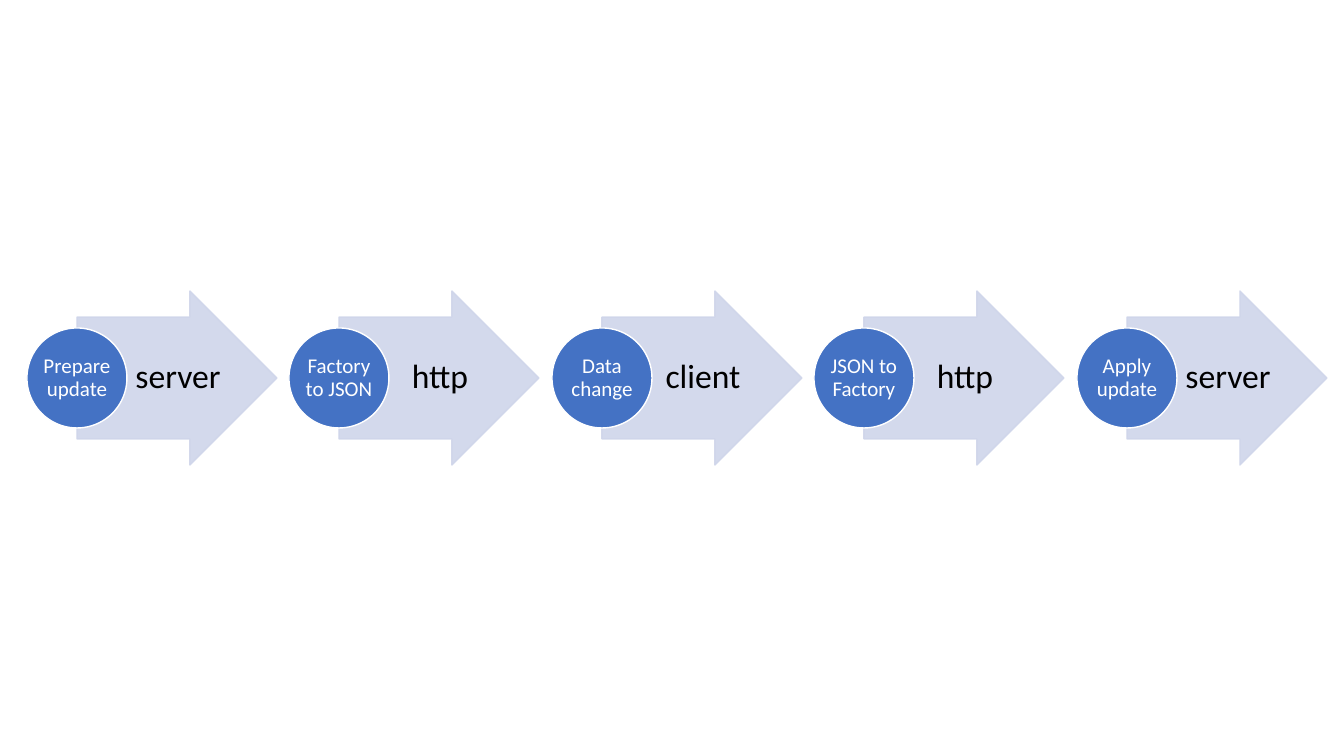
from pptx import Presentation
from pptx.dml.color import RGBColor
from pptx.enum.shapes import MSO_SHAPE as Preset
from pptx.enum.text import MSO_ANCHOR as Anchor, PP_ALIGN as Align
from pptx.oxml.ns import qn
from pptx.util import Pt
from lxml.etree import SubElement

SCALE = 914400 / 100.8
COLORS = {"arrow": "CFD5EA", "circle": "4472C4", "outline": "FFFFFF",
          "place": "000000", "step": "FFFFFF"}
STAGES = [("Prepare update", "server"), ("Factory to JSON", "http"),
          ("Data change", "client"), ("JSON to Factory", "http"),
          ("Apply update", "server")]
PLACE = {"size": 24, "color": "place", "insets": (7, 2, 3, 2)}
STEP = {"size": 15, "color": "step", "insets": (1, 1, 1, 1)}
SIDES = ("left", "top", "right", "bottom")


def emu(pixels):
    return round(pixels * SCALE)


def assign(target, values):
    for name, value in values.items():
        setattr(target, name, value)


def rgb(name):
    return RGBColor.from_string(COLORS[name])


def add_figure(group, preset, box, fill, outline, alpha=100):
    figure = group.shapes.add_shape(preset, *map(emu, box))
    figure.shadow.inherit = False
    figure.line.width = Pt(1)
    for paint, color in ((figure.fill, fill), (figure.line.fill, outline)):
        paint.solid()
        paint.fore_color.rgb = rgb(color)
    if alpha < 100:
        for color in figure.element.spPr.iter(qn("a:srgbClr")):
            SubElement(color, qn("a:alpha"), val=str(alpha * 1000))
    return figure


def add_label(group, box, text, style):
    frame = group.shapes.add_textbox(*map(emu, box)).text_frame
    assign(frame, {"word_wrap": True, "vertical_anchor": Anchor.MIDDLE})
    assign(frame, {f"margin_{side}": emu(inset)
                   for side, inset in zip(SIDES, style["insets"])})
    para = frame.paragraphs[0]
    assign(para, {"alignment": Align.CENTER, "line_spacing": 0.9})
    span = para.add_run()
    span.text = text
    assign(span.font, {"name": "Calibri", "size": Pt(style["size"])})
    span.font.color.rgb = rgb(style["color"])


def add_stage(group, box, step, place):
    left, top, width, height = box
    diameter = 100
    middle = top + height // 2
    start = left + diameter // 2
    arrow = add_figure(group, Preset.RIGHT_ARROW,
                       (start, top, width - diameter // 2, height),
                       "arrow", "arrow", alpha=90)
    arrow.adjustments[0] = 0.7
    arrow.adjustments[1] = 0.5
    add_label(group, (left + diameter, middle - 61, 98, 122), place, PLACE)
    add_figure(group, Preset.OVAL,
               (left, middle - diameter // 2, diameter, diameter),
               "circle", "outline")
    add_label(group, (start - 35, middle - 35, 70, 70), step, STEP)


def add_process(page, box):
    left, top, width, height = box
    stage_width = 250
    travel = width - stage_width
    group = page.shapes.add_group_shape()
    for index, (step, place) in enumerate(STAGES):
        offset = travel * index // (len(STAGES) - 1)
        add_stage(group, (left + offset, top, stage_width, height), step, place)


deck = Presentation()
assign(deck, {"slide_width": emu(1344), "slide_height": emu(756)})
page = deck.slides.add_slide(deck.slide_layouts[6])
add_process(page, (27, 291, 1300, 174))
deck.save("out.pptx")
